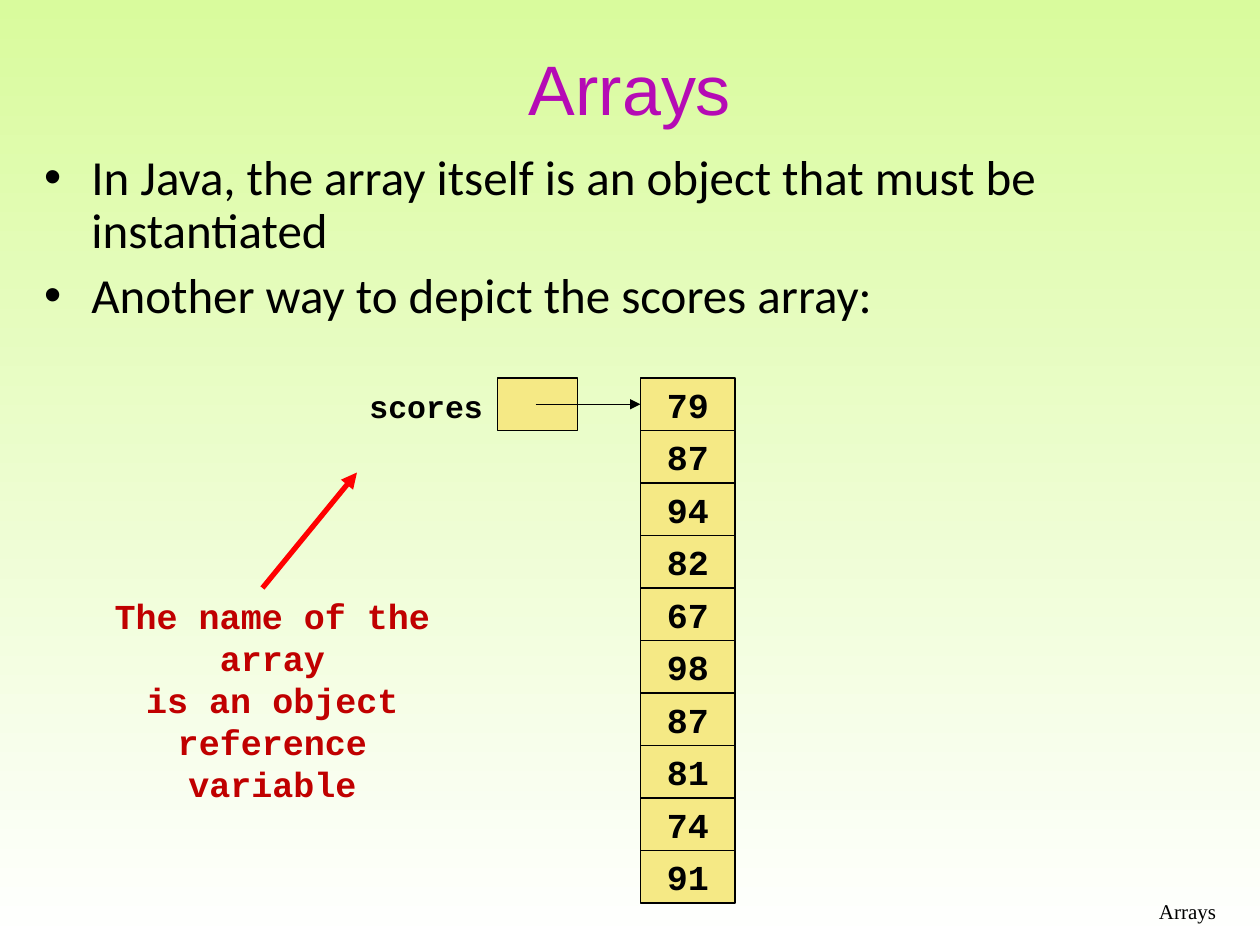
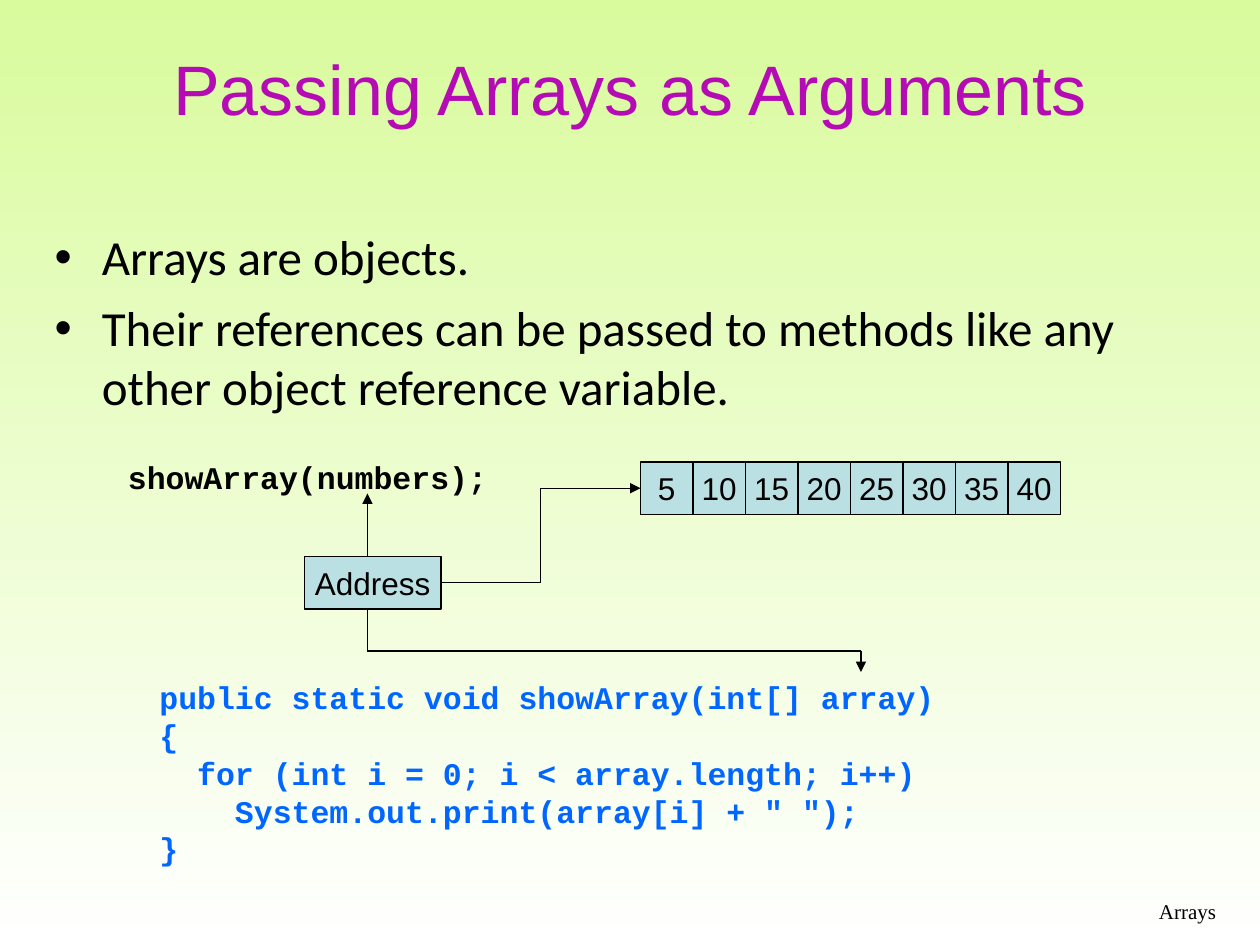
from lxml.etree import SubElement as Sub
from pptx import Presentation
from pptx.dml.color import RGBColor as Rgb
from pptx.enum.shapes import MSO_CONNECTOR as Conn, MSO_SHAPE as Geo
from pptx.enum.text import MSO_ANCHOR as Anchor, MSO_AUTO_SIZE as Fit, PP_ALIGN as Align
from pptx.oxml.ns import qn
from pptx.util import Inches, Pt

# Places and sizes are in grid units; the slide is 120 columns by 90 rows.
COLS, ROWS = 120, 90
UNIT = Inches(10) / COLS
CELL = 5

BLACK, RED, CRIMSON = "000000", "FF0000", "C00000"
PURPLE, BLUE, GOLD, TEAL = "B50BB5", "0066FF", "F5E985", "BBE0E3"
TOP, BASE = "D9FB9D", "FFFFFF"
HEAD = ("Arial", 40, PURPLE, False)
BODY = ("Calibri", 28, BLACK, False)
FOOT = ("Times New Roman", 12, BLACK, False)
CODE = ("Courier New", 18, BLACK, True)
LABEL = ("Arial", 18, BLACK, False)
SCORE = ("Courier New", 20, BLACK, True)
NOTE = ("Courier New", 20, CRIMSON, True)
METHOD = ("Courier New", 18, BLUE, True)


def grid(*units):
    return [round(n * UNIT) for n in units]


def tint(code):
    return Rgb.from_string(code)


def write(frame, text, style, align=Align.LEFT):
    face, size, color, bold = style
    frame.text = text
    for para in frame.paragraphs:
        para.alignment = align
        for run in para.runs:
            font = run.font
            font.name, font.size, font.bold = face, Pt(size), bold
            font.color.rgb = tint(color)


def place(shape, box):
    shape.left, shape.top, shape.width, shape.height = grid(*box)


def label(slide, box, text, style, align=Align.LEFT):
    frame = slide.shapes.add_textbox(*grid(*box)).text_frame
    frame.word_wrap = True
    write(frame, text, style, align)


def block(slide, box, fill, text="", style=LABEL):
    """Draw an outlined memory cell with centred text."""
    shape = slide.shapes.add_shape(Geo.RECTANGLE, *grid(*box))
    shape.shadow.inherit = False
    shape.fill.solid()
    shape.fill.fore_color.rgb = tint(fill)
    shape.line.color.rgb = tint(BLACK)
    shape.line.width = Pt(0.75)
    frame = shape.text_frame
    frame.word_wrap = False
    frame.vertical_anchor = Anchor.MIDDLE
    write(frame, text, style, Align.CENTER)


def strip(slide, start, size, step, values, fill, style):
    """Draw an array as touching cells, each moved by step from the last."""
    for i, value in enumerate(values):
        spot = [a + i * b for a, b in zip(start, step)]
        block(slide, (*spot, *size), fill, str(value), style)


def link(slide, start, end, color=BLACK, width=0.75, tip=True, kind=Conn.STRAIGHT):
    line = slide.shapes.add_connector(kind, *grid(*start, *end))
    line.line.color.rgb = tint(color)
    line.line.width = Pt(width)
    props = line.element.spPr
    if tip:
        Sub(props.find(qn("a:ln")), qn("a:tailEnd"), type="triangle")
    Sub(props, qn("a:effectLst"))


def backdrop(deck):
    fill = deck.slide_master.background.fill
    fill.gradient()
    fill.gradient_angle = 270
    for stop, color in zip(fill.gradient_stops, (TOP, BASE)):
        stop.color.rgb = tint(color)


def page(deck, title, points, box, pitch=1.0):
    """Add a slide with its title, bullet list and footer."""
    slide = deck.slides.add_slide(deck.slide_layouts[1])
    head, body = slide.placeholders
    place(head, (3, 3.6, 114, 9.4))
    write(head.text_frame, title, HEAD, Align.CENTER)
    place(body, box)
    write(body.text_frame, "\n".join(points), BODY)
    for shape in (head, body):
        shape.text_frame.auto_size = Fit.NONE
    for para in body.text_frame.paragraphs:
        para.space_before = Pt(7)
        para.line_spacing = pitch
    label(slide, (44, 85, 73, 4), "Arrays", FOOT, Align.RIGHT)
    return slide


def arrays(deck):
    slide = page(deck, "Arrays", [
        "In Java, the array itself is an object that must be instantiated",
        "Another way to depict the scores array:",
    ], (3, 14, 114, 18), 0.9)
    label(slide, (34, 36.25, 14, 4.8), "scores", CODE)
    block(slide, (47.4, 36, 7.6, CELL), GOLD)
    strip(slide, (61, 36), (9, CELL), (0, CELL),
          [79, 87, 94, 82, 67, 98, 87, 81, 74, 91], GOLD, SCORE)
    link(slide, (51, 38.5), (61, 38.5))
    label(slide, (6.25, 56, 39.4, 20),
          "The name of the array\nis an object reference\nvariable", NOTE, Align.CENTER)
    link(slide, (25, 56), (34, 45), RED, 3)


def passing(deck):
    slide = page(deck, "Passing Arrays as Arguments", [
        "Arrays are objects.",
        "Their references can be passed to methods like any other object reference variable.",
    ], (4, 21, 108.8, 25.2))
    label(slide, (11, 43, 36.6, 4.8), "showArray(numbers);", CODE)
    strip(slide, (61, 44), (CELL, CELL), (CELL, 0), range(5, 41, 5), TEAL, LABEL)
    block(slide, (29, 53, 13, CELL), TEAL, "Address")
    link(slide, (42, 55.5), (61, 46.5), kind=Conn.ELBOW)
    link(slide, (35, 53), (35, 47))
    route = [(35, 58), (35, 62), (82, 62), (82, 64)]
    for start, end in zip(route, route[1:]):
        link(slide, start, end, tip=end == route[-1])
    label(slide, (14, 64, 76.2, 19.2), "\n".join([
        "public static void showArray(int[] array)",
        "{",
        "  for (int i = 0; i < array.length; i++)",
        '    System.out.print(array[i] + " ");',
        "}",
    ]), METHOD)


def main():
    deck = Presentation()
    deck.slide_width, deck.slide_height = grid(COLS, ROWS)
    backdrop(deck)
    arrays(deck)
    passing(deck)
    deck.save("out.pptx")


if __name__ == "__main__":
    main()
